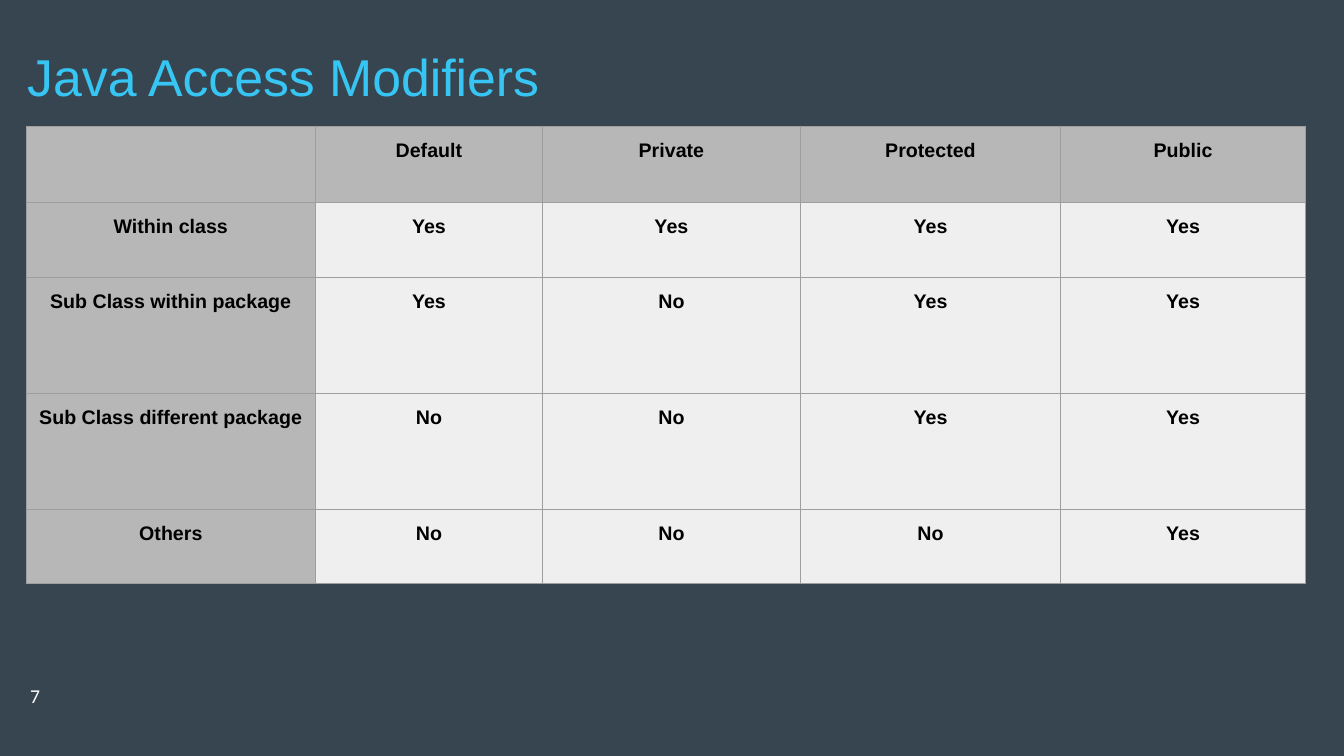
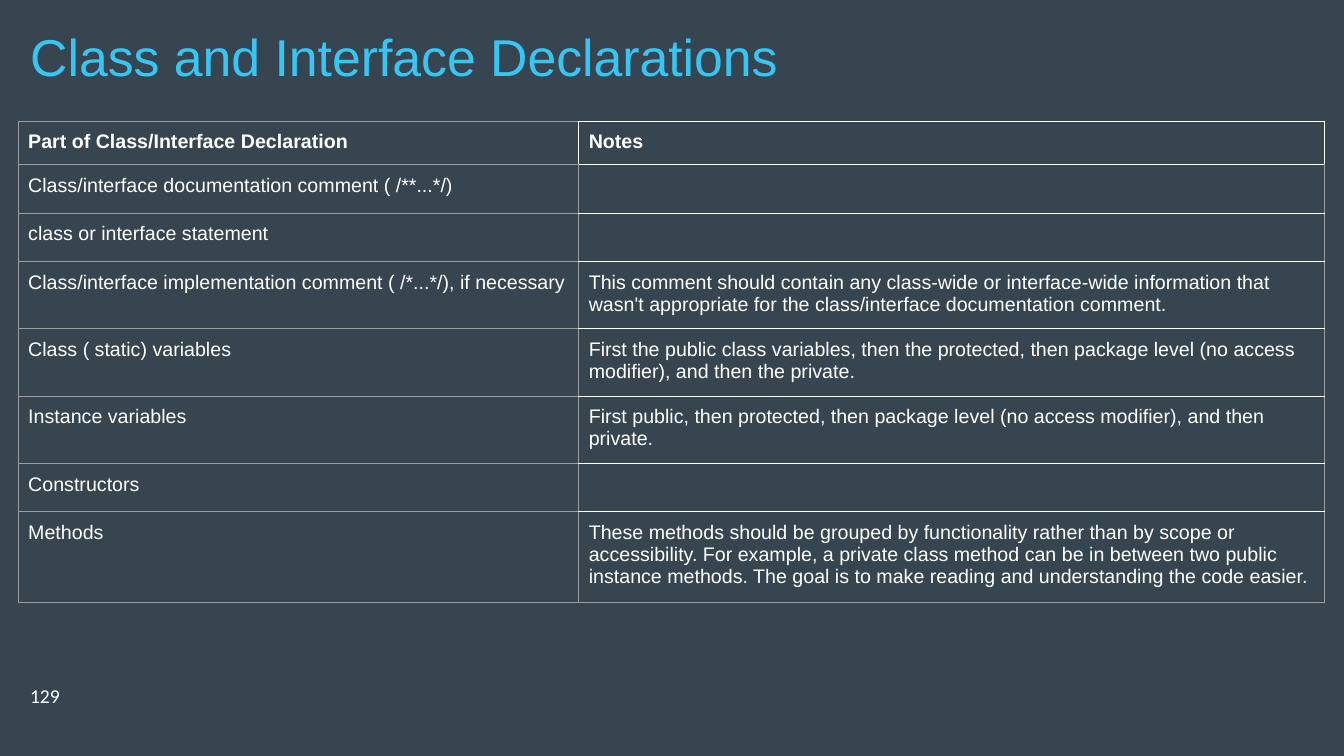
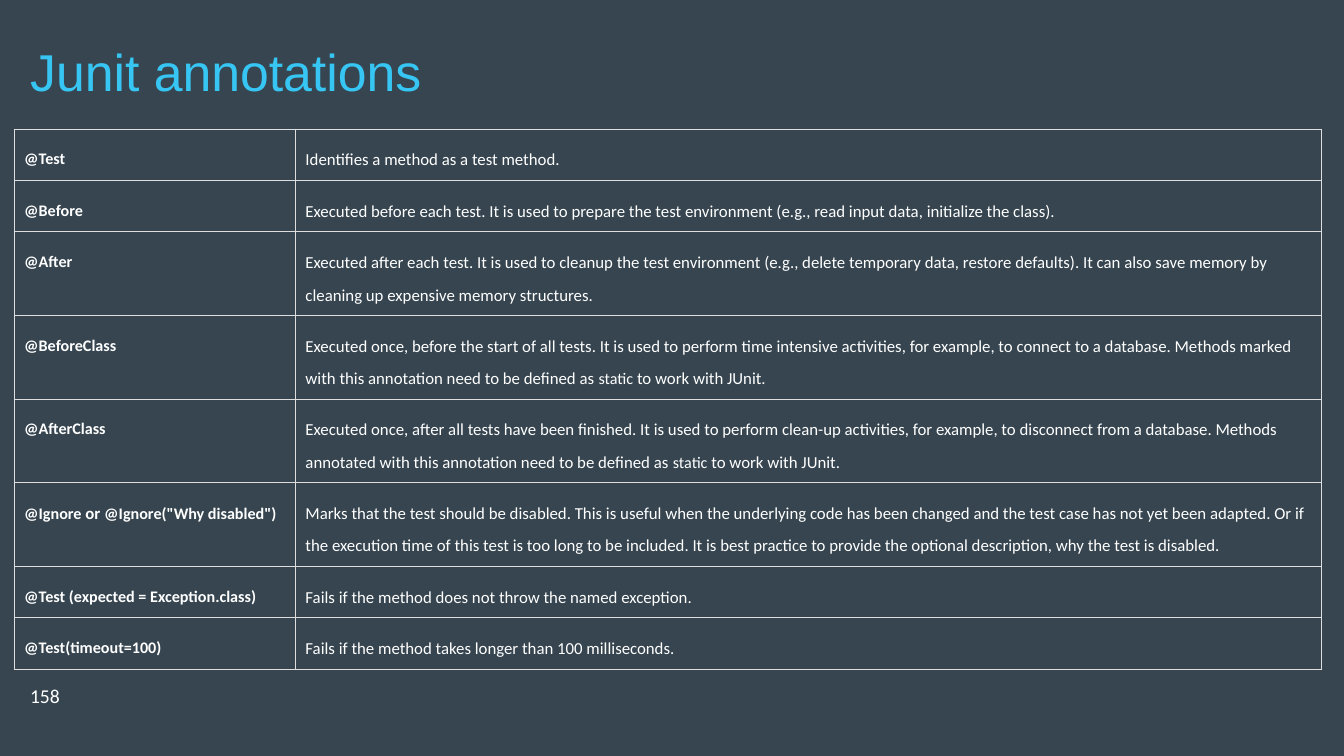
from lxml.etree import SubElement
from pptx import Presentation
from pptx.dml.color import RGBColor
from pptx.enum.text import MSO_ANCHOR, MSO_AUTO_SIZE, PP_ALIGN
from pptx.oxml.ns import qn
from pptx.util import Inches, Pt

BACKGROUND, ACCENT, WHITE, BLACK = "36454F", "37C6F4", "FFFFFF", "000000"
HEAD_FILL, BODY_FILL = "B7B7B7", "EFEFEF"
GREY_LINE, PALE_LINE = "9E9E9E", "DEDEDE"
SIDES = "LRTB"
CODE_SIZE, PROSE_SIZE = 11.5, 12


def rgb(color):
    return RGBColor.from_string(color)


def add_run(p, text, font, size, color, bold=False):
    r = p.add_run()
    r.text = text
    r.font.name, r.font.size, r.font.bold = font, Pt(size), bold
    r.font.color.rgb = rgb(color)


def set_borders(cell, colors):
    """Draw the left, right, top and bottom edges in the four colors."""
    tc_pr = cell._tc.get_or_add_tcPr()
    for i, (side, color) in enumerate(zip(SIDES, colors)):
        ln = SubElement(tc_pr, qn(f"a:ln{side}"), w=str(Pt(0.75)))
        SubElement(SubElement(ln, qn("a:solidFill")), qn("a:srgbClr"), val=color)
        tc_pr.insert(i, ln)


def prepare_master(prs):
    """Set the background and title box; return the layout for all slides."""
    fill = prs.slide_master.background.fill
    fill.solid()
    fill.fore_color.rgb = rgb(BACKGROUND)
    layout = prs.slide_layouts.get_by_name("Title Only")
    place(layout.placeholders[0], 0.2, 0.2, 13, 1)
    return layout


def place(sp, left, top, width, height):
    sp.left, sp.top = Inches(left), Inches(top)
    sp.width, sp.height = Inches(width), Inches(height)


def add_titled_slide(prs, layout, title, number, anchor=MSO_ANCHOR.MIDDLE):
    s = prs.slides.add_slide(layout)
    tf = s.shapes.title.text_frame
    tf.auto_size, tf.vertical_anchor = MSO_AUTO_SIZE.NONE, anchor
    p = tf.paragraphs[0]
    p.alignment = PP_ALIGN.LEFT
    add_run(p, title, "Arial", 37, ACCENT)

    tf = s.shapes.add_textbox(Inches(0.2), Inches(6.74), Inches(1.33), Inches(0.5)).text_frame
    tf.word_wrap = True
    add_run(tf.paragraphs[0], number, "Calibri", 14, WHITE)
    return s


def add_grid(s, left, top, widths, heights, rows, style):
    """Fill a table; style(row, column) gives the look of each cell."""
    table = s.shapes.add_table(len(heights), len(widths), Inches(left), Inches(top),
                               Inches(sum(widths)), Inches(sum(heights))).table
    table.first_row = table.horz_banding = False
    for column, width in zip(table.columns, widths):
        column.width = Inches(width)
    for row, height in zip(table.rows, heights):
        row.height = Inches(height)
    for i, row in enumerate(rows):
        for j, content in enumerate(row):
            fill_cell(table.cell(i, j), content, **style(i, j))


def fill_cell(cell, content, borders, font="Arial", size=14, color=WHITE, bold=False,
              fill=None, align=PP_ALIGN.LEFT, spacing=1.0, pad=0.1):
    """Content is a string, or a list of (text, size) runs."""
    if fill:
        cell.fill.solid()
        cell.fill.fore_color.rgb = rgb(fill)
    else:
        cell.fill.background()
    set_borders(cell, borders)
    if not content:
        return
    cell.margin_left = cell.margin_right = Inches(0.1)
    cell.margin_top = cell.margin_bottom = Inches(pad)
    p = cell.text_frame.paragraphs[0]
    p.alignment, p.line_spacing = align, spacing
    runs = [(content, size)] if isinstance(content, str) else content
    for text, run_size in runs:
        add_run(p, text, font, run_size, color, bold)


def access_modifiers(prs, layout):
    s = add_titled_slide(prs, layout, "Java Access Modifiers", "7")
    place(s.shapes.title, 0.17, 0.25, 13, 1)
    rows = [
        ["", "Default", "Private", "Protected", "Public"],
        ["Within class", "Yes", "Yes", "Yes", "Yes"],
        ["Sub Class within package", "Yes", "No", "Yes", "Yes"],
        ["Sub Class different package", "No", "No", "Yes", "Yes"],
        ["Others", "No", "No", "No", "Yes"],
    ]

    def style(i, j):
        return dict(borders=[GREY_LINE] * 4, color=BLACK, bold=True, align=PP_ALIGN.CENTER,
                    spacing=1.15, fill=BODY_FILL if i and j else HEAD_FILL)

    add_grid(s, 0.26, 1.25, [2.87, 2.25, 2.56, 2.58, 2.43],
             [0.76, 0.74, 1.15, 1.15, 0.74], rows, style)


def declarations(prs, layout):
    s = add_titled_slide(prs, layout, "Class and Interface Declarations", "129", MSO_ANCHOR.TOP)
    rows = [
        ["Part of Class/Interface Declaration", "Notes"],
        ["Class/interface documentation comment ( /**...*/)", ""],
        ["class or interface statement", ""],
        ["Class/interface implementation comment ( /*...*/), if necessary",
         "This comment should contain any class-wide or interface-wide information that wasn't "
         "appropriate for the class/interface documentation comment."],
        ["Class ( static) variables",
         "First the public class variables, then the protected, then package level (no access "
         "modifier), and then the private."],
        ["Instance variables",
         "First public, then protected, then package level (no access modifier), and then private."],
        ["Constructors", ""],
        ["Methods",
         "These methods should be grouped by functionality rather than by scope or accessibility. "
         "For example, a private class method can be in between two public instance methods. "
         "The goal is to make reading and understanding the code easier."],
    ]
    last = len(rows) - 1

    def style(i, j):
        side = WHITE if i == 0 else GREY_LINE
        if j == 0:
            borders = [GREY_LINE, side, GREY_LINE, GREY_LINE]
        else:
            borders = [side, side, WHITE, GREY_LINE if i == last else WHITE]
        return dict(borders=borders, bold=i == 0)

    add_grid(s, 0.18, 1.2, [5.56, 7.4],
             [0.43, 0.48, 0.48, 0.64, 0.64, 0.64, 0.48, 0.85], rows, style)


def annotations(prs, layout):
    s = add_titled_slide(prs, layout, "Junit annotations", "158")
    static_ending = [("static", CODE_SIZE), (" to work with JUnit.", PROSE_SIZE)]
    rows = [
        ["@Test", "Identifies a method as a test method."],
        ["@Before",
         "Executed before each test. It is used to prepare the test environment (e.g., read input "
         "data, initialize the class)."],
        ["@After",
         "Executed after each test. It is used to cleanup the test environment (e.g., delete "
         "temporary data, restore defaults). It can also save memory by cleaning up expensive "
         "memory structures."],
        ["@BeforeClass",
         [("Executed once, before the start of all tests. It is used to perform time intensive "
           "activities, for example, to connect to a database. Methods marked with this "
           "annotation need to be defined as ", PROSE_SIZE), *static_ending]],
        ["@AfterClass",
         [("Executed once, after all tests have been finished. It is used to perform clean-up "
           "activities, for example, to disconnect from a database. Methods annotated with this "
           "annotation need to be defined as ", PROSE_SIZE), *static_ending]],
        [[("@Ignore", CODE_SIZE), (" or ", PROSE_SIZE), ('@Ignore("Why disabled")', CODE_SIZE)],
         "Marks that the test should be disabled. This is useful when the underlying code has been "
         "changed and the test case has not yet been adapted. Or if the execution time of this "
         "test is too long to be included. It is best practice to provide the optional "
         "description, why the test is disabled."],
        ["@Test (expected = Exception.class)",
         "Fails if the method does not throw the named exception."],
        ["@Test(timeout=100)", "Fails if the method takes longer than 100 milliseconds."],
    ]

    def style(i, j):
        return dict(borders=[PALE_LINE] * 4, font="Calibri", bold=j == 0, spacing=1.58,
                    size=PROSE_SIZE if j else CODE_SIZE, pad=0.09)

    one_line, two_lines = 0.51, 0.83
    heights = [one_line] * 2 + [two_lines] * 4 + [one_line] * 2
    add_grid(s, 0.14, 1.28, [2.79, 10.18], heights, rows, style)


def main():
    prs = Presentation()
    prs.slide_width, prs.slide_height = Inches(13.33), Inches(7.5)
    layout = prepare_master(prs)
    for build in (access_modifiers, declarations, annotations):
        build(prs, layout)
    prs.save("out.pptx")


if __name__ == "__main__":
    main()
